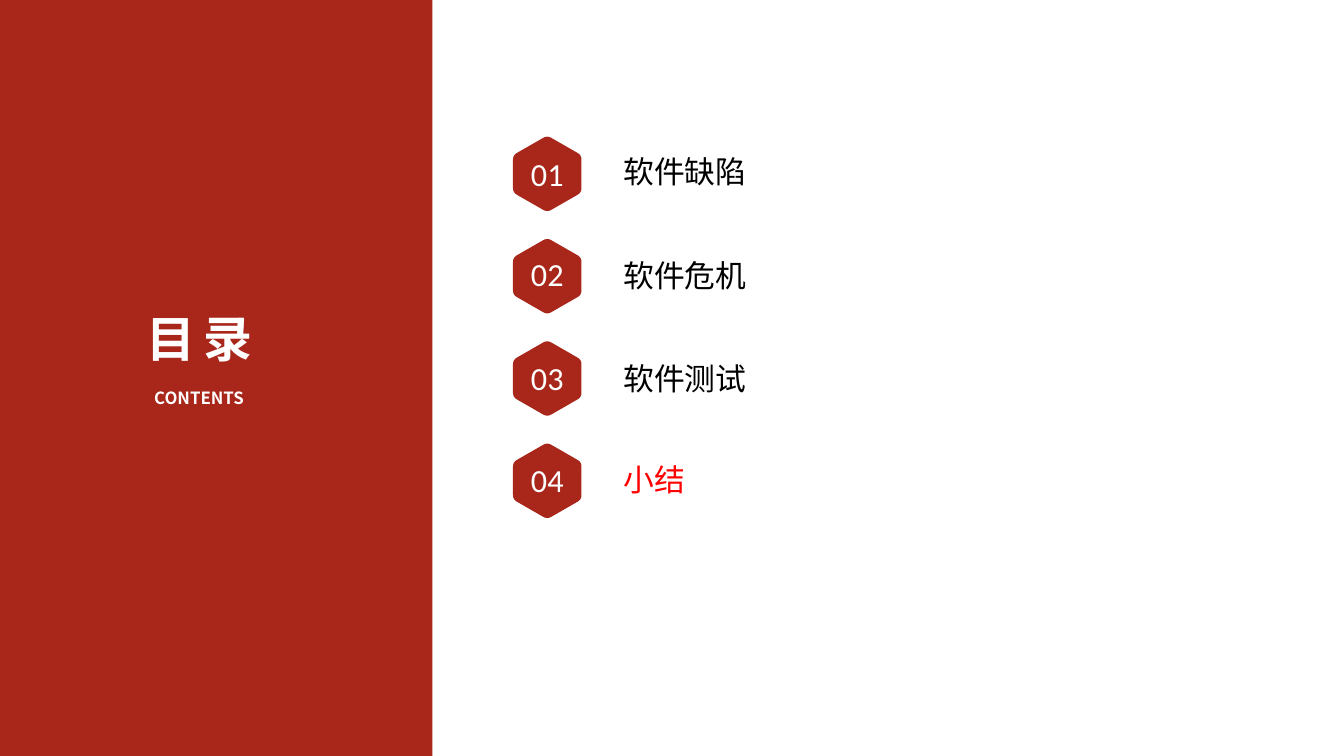
import math
import pptx
import pptx.util
import pptx.dml.color
import pptx.enum.shapes
import pptx.enum.text
import lxml.etree
import pptx.oxml.ns

Inches = pptx.util.Inches
ALIGN = pptx.enum.text.PP_ALIGN
ANCHOR = pptx.enum.text.MSO_ANCHOR

THEME = {
    "red": "A8271A", "white": "FFFFFF", "black": "000000", "alert": "FF0000",
    "han": "Noto Sans CJK SC", "latin": "Calibri",
    "title": 70, "sub": 24, "label": 44, "number": 46,
}

# number, number top, label, label top, label colour
ITEMS = [
    ("01", 2.92, "软件缺陷", 2.98, "black"),
    ("02", 4.90, "软件危机", 5.04, "black"),
    ("03", 6.97, "软件测试", 7.09, "black"),
    ("04", 9.00, "小结", 9.10, "alert"),
]
HEX_X, HEX_Y, PITCH = 10.86, 3.45, 2.03
CORNERS = [(0, -0.76), (0.68, -0.37), (0.68, 0.37),
           (0, 0.76), (-0.68, 0.37), (-0.68, -0.37)]
ROUND = 0.09


def paint(shape, color):
    shape.shadow.inherit = False
    shape.fill.solid()
    shape.fill.fore_color.rgb = pptx.dml.color.RGBColor.from_string(THEME[color])
    shape.line.fill.background()


def write(slide, text, box, *, size, color="white", face="han", bold=False,
          align=ALIGN.CENTER, anchor=ANCHOR.TOP, space=0):
    frame = slide.shapes.add_textbox(*map(Inches, box)).text_frame
    frame.word_wrap = True
    frame.vertical_anchor = anchor
    frame.margin_left = frame.margin_right = Inches(0.05)
    frame.margin_top = frame.margin_bottom = Inches(0.05)
    para = frame.paragraphs[0]
    para.alignment = align
    run = para.add_run()
    run.text = text
    font = run.font
    font.size = pptx.util.Pt(THEME[size])
    font.bold = bold
    font.name = THEME[face]
    font.color.rgb = pptx.dml.color.RGBColor.from_string(THEME[color])
    props = run._r.get_or_add_rPr()
    lxml.etree.SubElement(props, pptx.oxml.ns.qn("a:ea"), typeface=THEME[face])
    if space:
        props.set("spc", str(round(space * 100)))


def toward(start, end, dist):
    """Return the point at a distance from start along the line to end."""
    part = dist / math.dist(start, end)
    return tuple(a + (b - a) * part for a, b in zip(start, end))


def outline():
    """Return hexagon points, each corner rounded by a quadratic curve."""
    points = []
    for i, tip in enumerate(CORNERS):
        first = toward(tip, CORNERS[i - 1], ROUND)
        last = toward(tip, CORNERS[(i + 1) % len(CORNERS)], ROUND)
        for step in range(7):
            t = step / 6
            points.append(tuple(
                (1 - t) ** 2 * a + 2 * t * (1 - t) * b + t * t * c
                for a, b, c in zip(first, tip, last)))
    return points


def hexagon(slide, x, y):
    points = [(Inches(x + dx), Inches(y + dy)) for dx, dy in outline()]
    pen = slide.shapes.build_freeform(*points[0])
    pen.add_line_segments(points[1:], close=True)
    paint(pen.convert_to_shape(), "red")


def main():
    deck = pptx.Presentation()
    deck.slide_width, deck.slide_height = Inches(26.67), Inches(15)
    slide = deck.slides.add_slide(deck.slide_layouts[6])

    panel = slide.shapes.add_shape(
        pptx.enum.shapes.MSO_SHAPE.RECTANGLE, 0, 0, Inches(8.58), Inches(15))
    paint(panel, "red")
    write(slide, "CONTENTS", (1.87, 7.64, 4.16, 0.99), size="sub", bold=True)
    write(slide, "目录", (1.12, 6.08, 5.68, 2.85), size="title", bold=True,
          space=11.7)

    for i, (number, top, label, label_top, color) in enumerate(ITEMS):
        hexagon(slide, HEX_X, HEX_Y + i * PITCH)
        write(slide, number, (9.99, top, 1.74, 1.05), size="number",
              face="latin", anchor=ANCHOR.MIDDLE)
        write(slide, label, (12.32, label_top, 4.18, 0.85), size="label",
              color=color, align=ALIGN.LEFT)

    deck.save("out.pptx")


if __name__ == "__main__":
    main()
